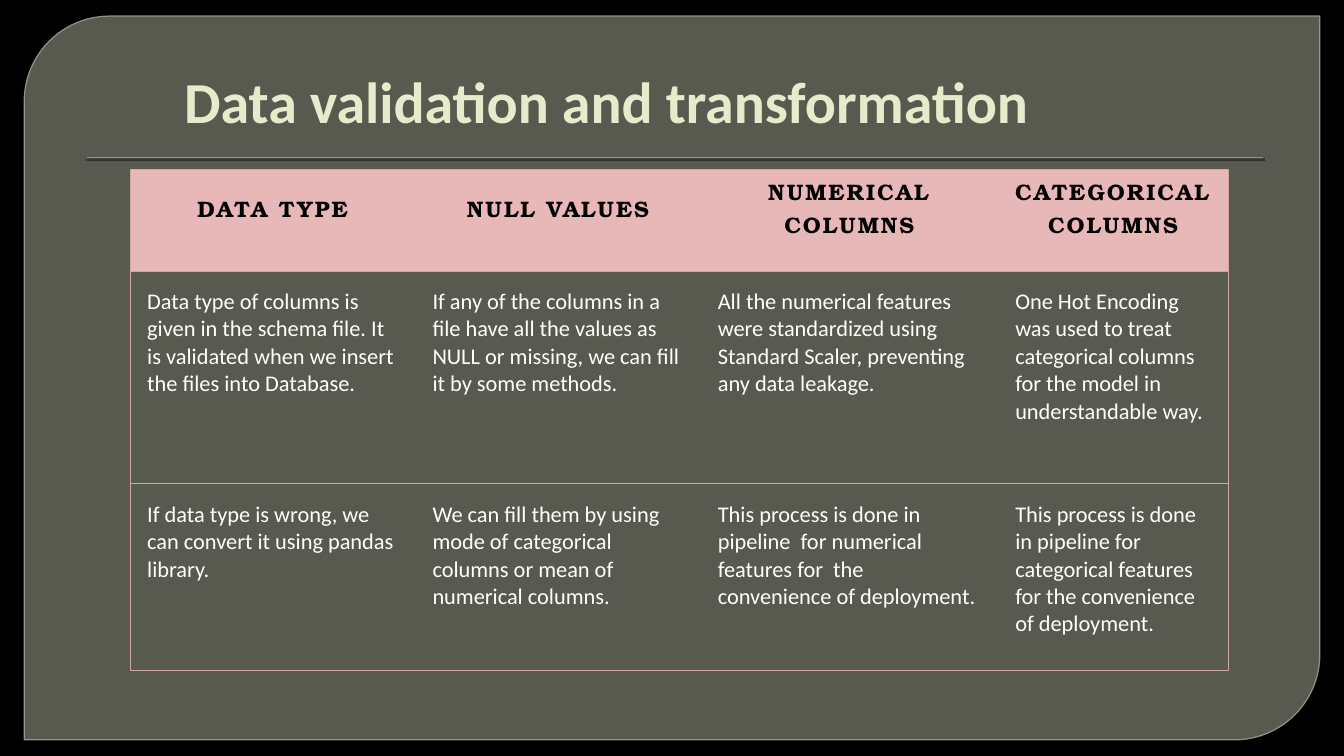
import pptx
import pptx.util
import pptx.dml.color
import pptx.enum.shapes
import pptx.enum.text
import pptx.oxml
import pptx.oxml.ns
from lxml import etree

WIDE, HIGH = 13.33, 7.5
HUES = {"back": "000000", "panel": "888B7B", "edge": "9DA090", "rule": "72A376",
        "title": "E7EACB", "head": "E8B7B7", "grid": "D3A6A6",
        "dark": "000000", "light": "FFFFFF"}
COLS = [2.83, 2.83, 2.95, 2.28]
ROWS = [1.01, 2.11, 1.85]
HEADS = ["DATA TYPE", "NULL VALUES", "NUMERICAL COLUMNS", "CATEGORICAL COLUMNS"]
BODY = [
    ["Data type of columns is given in the schema file. It is validated when we "
     "insert the files into Database.",
     "If any of the columns in a file have all the values as NULL or missing, "
     "we can fill it by some methods.",
     "All the numerical features were standardized using Standard Scaler, "
     "preventing any data leakage.",
     "One Hot Encoding  was used to treat categorical columns for the model in "
     "understandable way."],
    ["If data type is wrong, we can convert it using pandas library.",
     "We can fill them by using mode of categorical columns or mean of "
     "numerical columns.",
     "This process is done in pipeline  for numerical features for  the "
     "convenience of deployment.",
     "This process is done in pipeline for  categorical features for the "
     "convenience of deployment."],
]
KINDS = pptx.enum.shapes.MSO_SHAPE
ALIGN = pptx.enum.text.PP_ALIGN
ANCHOR = pptx.enum.text.MSO_ANCHOR


def inch(size):
    return pptx.util.Inches(size)


def hue(name):
    return pptx.dml.color.RGBColor.from_string(HUES[name])


def add(node, tag, **attrs):
    child = etree.SubElement(node, pptx.oxml.ns.qn("a:" + tag))
    for key, value in attrs.items():
        child.set(key, str(value))
    return child


def fade(fill, share):
    """Set the opacity of a solid fill, in percent."""
    color = fill._xPr.find(".//" + pptx.oxml.ns.qn("a:srgbClr"))
    add(color, "alpha", val=share * 1000)


def block(slide, kind, box, color):
    shape = slide.shapes.add_shape(kind, *map(inch, box))
    shape.shadow.inherit = False
    shape.fill.solid()
    shape.fill.fore_color.rgb = hue(color)
    shape.line.fill.background()
    return shape


def write(frame, text, font, size, color, bold, align):
    para = frame.paragraphs[0]
    para.alignment = align
    run = para.add_run()
    run.text = text
    run.font.name = font
    run.font.size = pptx.util.Pt(size)
    run.font.bold = bold
    run.font.color.rgb = hue(color)
    return run


def border(cell, sides):
    """Draw the named sides and clear the others."""
    props = cell._tc.get_or_add_tcPr()
    for spot, side in enumerate("LRTB"):
        line = add(props, "ln" + side, w=9525 if side in sides else 0)
        if side in sides:
            add(add(line, "solidFill"), "srgbClr", val=HUES["grid"])
        else:
            add(line, "noFill")
        props.remove(line)
        props.insert(spot, line)


def panel(slide):
    shape = block(slide, KINDS.ROUND_2_DIAG_RECTANGLE, (0.24, 0.16, 12.85, 7.18), "panel")
    shape.adjustments[0], shape.adjustments[1] = 0.118, 0
    fade(shape.fill, 65)
    shape.line.color.rgb = hue("edge")
    shape.line.width = pptx.util.Pt(0.87)
    fade(shape.line.fill, 88)


def rule(slide):
    shape = block(slide, KINDS.RECTANGLE, (0.86, 1.56, 11.67, 0.01), "rule")
    effects = shape._element.spPr.find(pptx.oxml.ns.qn("a:effectLst"))
    shade = add(effects, "outerShdw", blurRad=12700, dist=12700, dir=5400000)
    add(add(shade, "srgbClr", val=HUES["dark"]), "alpha", val=75000)


def title(slide, text):
    frame = slide.shapes.add_textbox(*map(inch, (0.55, 0.58, 9.75, 0.81))).text_frame
    frame.word_wrap = True
    frame.vertical_anchor = ANCHOR.BOTTOM
    write(frame, text, "Calibri", 41.4, "title", True, ALIGN.RIGHT)


def header(cell, text):
    cell.fill.solid()
    cell.fill.fore_color.rgb = hue("head")
    cell.vertical_anchor = ANCHOR.MIDDLE
    cell.margin_bottom = inch(0.3)
    run = write(cell.text_frame, text, "TeX Gyre Bonum", 16, "dark", True, ALIGN.CENTER)
    run.font._element.set("spc", "150")


def entry(cell, text):
    cell.fill.background()
    cell.margin_left = cell.margin_right = inch(0.17)
    cell.margin_top = cell.margin_bottom = inch(0.17)
    write(cell.text_frame, text, "Calibri", 16, "light", False, ALIGN.LEFT)


def grid(slide):
    box = (1.29, 1.68, sum(COLS), sum(ROWS))
    table = slide.shapes.add_table(len(ROWS), len(COLS), *map(inch, box)).table
    table.horz_banding = table.first_row = False
    for col, width in zip(table.columns, COLS):
        col.width = inch(width)
    for row, height in zip(table.rows, ROWS):
        row.height = inch(height)
    for r, texts in enumerate([HEADS] + BODY):
        for c, text in enumerate(texts):
            cell = table.cell(r, c)
            (entry if r else header)(cell, text)
            # Outer frame, plus a line between all rows
            ends = {0: "L", len(COLS) - 1: "R"}.get(c, "")
            border(cell, "TB" + ends)


def main():
    deck = pptx.Presentation()
    deck.slide_width, deck.slide_height = inch(WIDE), inch(HIGH)
    slide = deck.slides.add_slide(deck.slide_layouts[6])
    slide.background.fill.solid()
    slide.background.fill.fore_color.rgb = hue("back")
    # Backdrop
    panel(slide)
    rule(slide)
    # Content
    title(slide, "Data validation and transformation")
    grid(slide)
    deck.save("out.pptx")


main()
